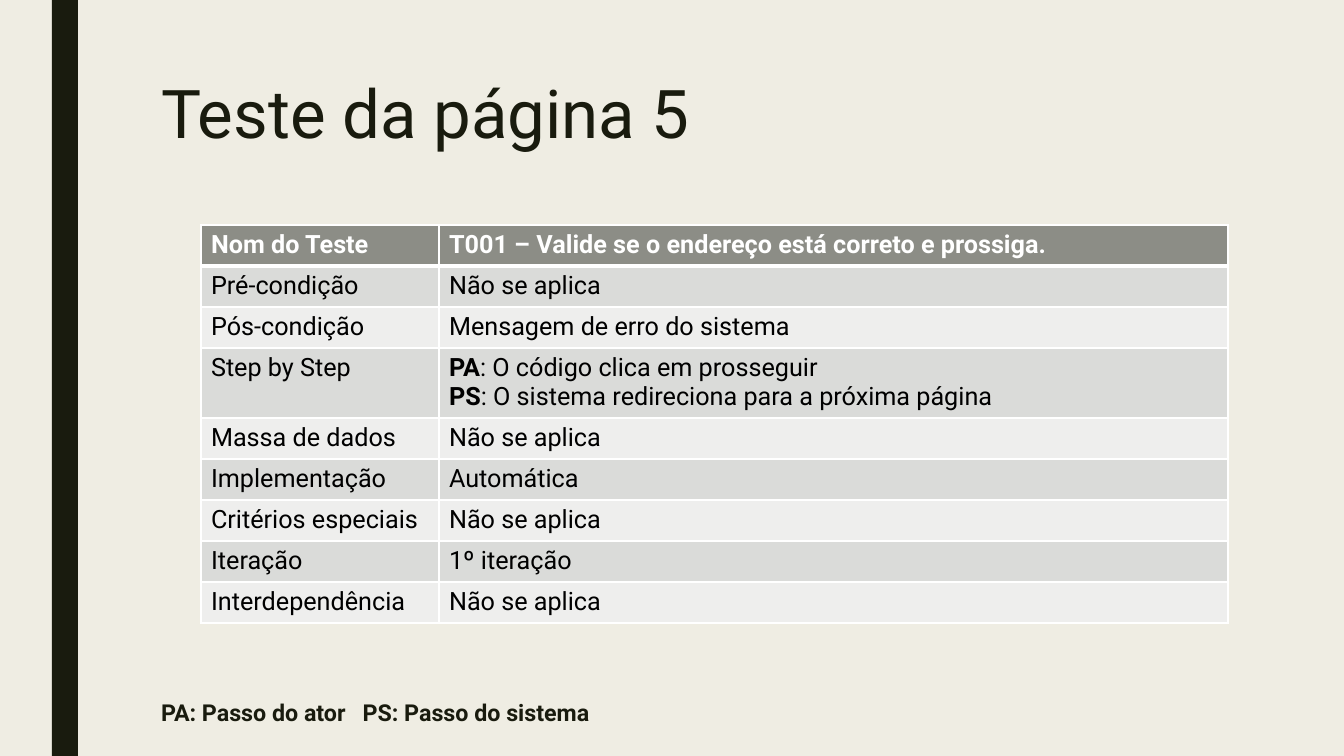
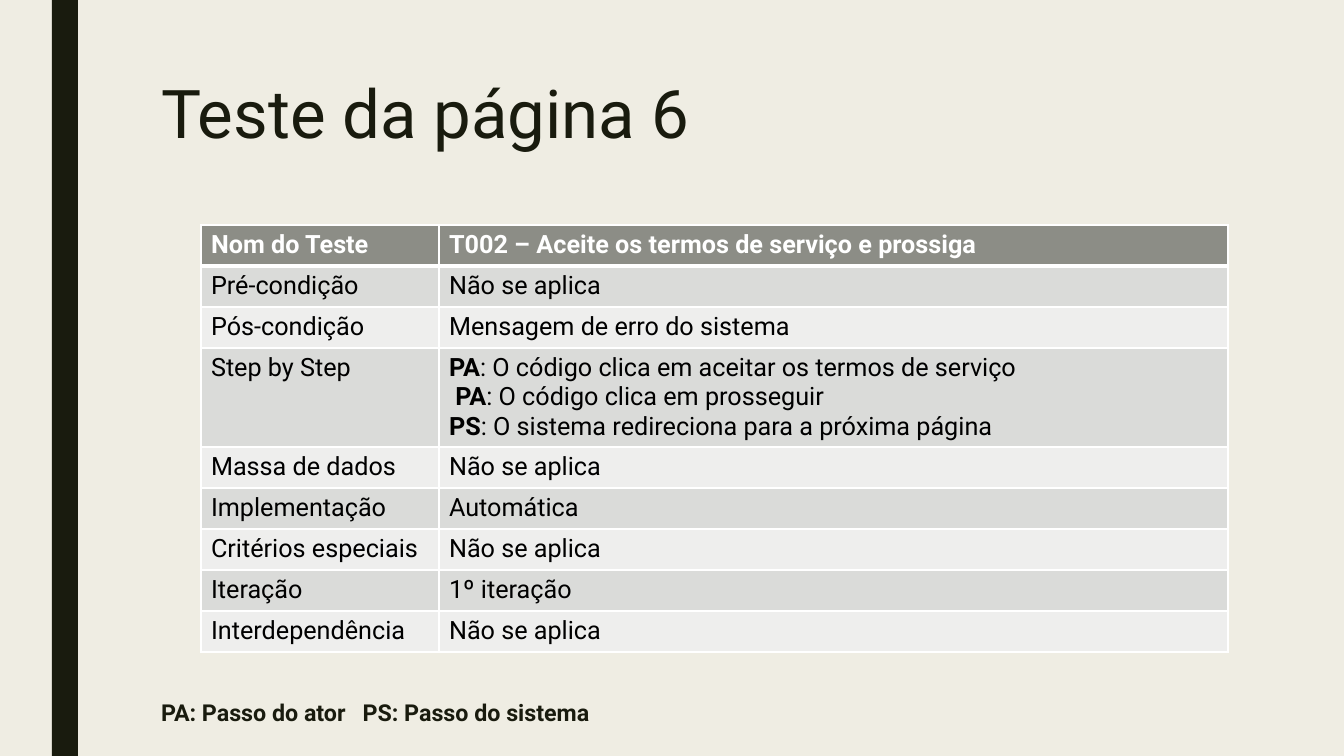
from dataclasses import dataclass

from lxml.etree import SubElement
from pptx import Presentation
from pptx.dml.color import RGBColor
from pptx.enum.shapes import MSO_SHAPE
from pptx.enum.text import MSO_ANCHOR, MSO_AUTO_SIZE, PP_ALIGN
from pptx.oxml.ns import qn
from pptx.slide import Slide
from pptx.table import _Cell as Cell
from pptx.text.text import _Paragraph as Paragraph
from pptx.util import Emu, Pt

# Shared style
FONT = "Roboto"
INK = RGBColor(0x19, 0x1B, 0x0E)
PAPER = RGBColor(0xEF, 0xED, 0xE3)
WHITE = RGBColor(0xFF, 0xFF, 0xFF)
BLACK = RGBColor(0x00, 0x00, 0x00)
HEADER_FILL = RGBColor(0x8C, 0x8D, 0x86)
ROW_FILLS = (RGBColor(0xEE, 0xEE, 0xED), RGBColor(0xDA, 0xDB, 0xD9))
NOT_APPLICABLE = "Não se aplica"


def px(pixels: int) -> Emu:
    return Emu(round(pixels * 914400 / 100.8))


@dataclass(frozen=True)
class Area:
    left: int
    top: int
    width: int
    height: int

    def emu(self) -> tuple[Emu, Emu, Emu, Emu]:
        return px(self.left), px(self.top), px(self.width), px(self.height)


@dataclass(frozen=True)
class Step:
    actor: str
    action: str
    lead: str = ""


@dataclass(frozen=True)
class TestCase:
    title: str
    name: str
    steps: tuple[Step, ...]


BAND = Area(52, 0, 26, 756)
TITLE = Area(151, 76, 1058, 163)
BODY = Area(151, 174, 1148, 582)
TABLE_LEFT, TABLE_TOP = 201, 225
COLUMN_WIDTHS = (238, 789)
ROW_HEIGHT, EXTRA_LINE = 41, 29
LEGEND_TAB, LEGEND_BOTTOM = 244, 30

PROCEED = "O código clica em prosseguir"
REDIRECT = Step("PS", "O sistema redireciona para a próxima página")

TEST_CASES = (
    TestCase(
        "Teste da página 5",
        "T001 – Valide se o endereço está correto e prossiga.",
        (Step("PA", PROCEED), REDIRECT),
    ),
    TestCase(
        "Teste da página 6",
        "T002 – Aceite os termos de serviço e prossiga",
        (
            Step("PA", "O código clica em aceitar os termos de serviço"),
            Step("PA", PROCEED, lead="\u00a0"),
            REDIRECT,
        ),
    ),
)


def style(para: Paragraph, size: float, color: RGBColor, bold: bool = False) -> None:
    para.font.name = FONT
    para.font.size = Pt(size)
    para.font.color.rgb = color
    para.font.bold = bold


def place(shape, area: Area) -> None:
    shape.left, shape.top, shape.width, shape.height = area.emu()


def add_band(page: Slide) -> None:
    band = page.shapes.add_shape(MSO_SHAPE.RECTANGLE, *BAND.emu())
    band.shadow.inherit = False
    band.fill.solid()
    band.fill.fore_color.rgb = INK
    band.line.fill.background()


def fill_title(page: Slide, text: str) -> None:
    title = page.shapes.title
    place(title, TITLE)
    frame = title.text_frame
    frame.text = text
    frame.word_wrap = True
    frame.auto_size = MSO_AUTO_SIZE.NONE
    frame.vertical_anchor = MSO_ANCHOR.TOP
    para = frame.paragraphs[0]
    para.alignment = PP_ALIGN.LEFT
    para.line_spacing = 0.89
    style(para, 48, INK)


def fill_legend(page: Slide) -> None:
    body = page.placeholders[1]
    place(body, BODY)
    frame = body.text_frame
    frame.text = "PA: Passo do ator\tPS: Passo do sistema"
    frame.word_wrap = True
    frame.auto_size = MSO_AUTO_SIZE.NONE
    frame.vertical_anchor = MSO_ANCHOR.BOTTOM
    frame.margin_bottom = px(LEGEND_BOTTOM)
    para = frame.paragraphs[0]
    para.space_before = para.space_after = Pt(0)
    # No bullet, and a tab stop for the second entry
    properties = para._p.get_or_add_pPr()
    properties.set("marL", "0")
    properties.set("indent", "0")
    SubElement(properties, qn("a:buNone"))
    tabs = SubElement(properties, qn("a:tabLst"))
    SubElement(tabs, qn("a:tab"), pos=str(px(LEGEND_TAB)), algn="l")
    style(para, 16.6, INK, bold=True)


def add_borders(cell: Cell, top: int, bottom: int) -> None:
    properties = cell._tc.get_or_add_tcPr()
    for side, width in (("L", 1), ("R", 1), ("T", top), ("B", bottom)):
        line = SubElement(properties, qn(f"a:ln{side}"), w=str(Pt(width)))
        fill = SubElement(line, qn("a:solidFill"))
        SubElement(fill, qn("a:srgbClr"), val=str(WHITE))


def write_steps(cell: Cell, steps: tuple[Step, ...]) -> None:
    frame = cell.text_frame
    for index, step in enumerate(steps):
        para = frame.add_paragraph() if index else frame.paragraphs[0]
        for text, bold in ((step.lead, False), (step.actor, True), (f": {step.action}", False)):
            if text:
                span = para.add_run()
                span.text = text
                span.font.bold = bold


def add_test_table(page: Slide, case: TestCase) -> None:
    rows = (
        ("Nom do Teste", case.name),
        ("Pré-condição", NOT_APPLICABLE),
        ("Pós-condição", "Mensagem de erro do sistema"),
        ("Step by Step", case.steps),
        ("Massa de dados", NOT_APPLICABLE),
        ("Implementação", "Automática"),
        ("Critérios especiais", NOT_APPLICABLE),
        ("Iteração", "1º iteração"),
        ("Interdependência", NOT_APPLICABLE),
    )
    steps_extra = EXTRA_LINE * (len(case.steps) - 1)
    area = Area(TABLE_LEFT, TABLE_TOP, sum(COLUMN_WIDTHS), ROW_HEIGHT * len(rows) + steps_extra)
    table = page.shapes.add_table(len(rows), len(COLUMN_WIDTHS), *area.emu()).table
    for column, width in zip(table.columns, COLUMN_WIDTHS):
        column.width = px(width)
    for row_index, values in enumerate(rows):
        is_header = row_index == 0
        has_steps = values[1] is case.steps
        table.rows[row_index].height = px(ROW_HEIGHT + (steps_extra if has_steps else 0))
        for column_index, value in enumerate(values):
            cell = table.cell(row_index, column_index)
            add_borders(cell, top=3 if row_index == 1 else 1, bottom=3 if is_header else 1)
            cell.fill.solid()
            cell.fill.fore_color.rgb = HEADER_FILL if is_header else ROW_FILLS[row_index % 2]
            if isinstance(value, str):
                cell.text = value
            else:
                write_steps(cell, value)
            for para in cell.text_frame.paragraphs:
                style(para, 18, WHITE if is_header else BLACK, bold=is_header)


def main() -> None:
    deck = Presentation()
    deck.slide_width, deck.slide_height = px(1344), px(756)
    background = deck.slide_master.background.fill
    background.solid()
    background.fore_color.rgb = PAPER
    for case in TEST_CASES:
        page = deck.slides.add_slide(deck.slide_layouts[1])
        add_band(page)
        fill_title(page, case.title)
        fill_legend(page)
        add_test_table(page, case)
    deck.save("out.pptx")


main()
